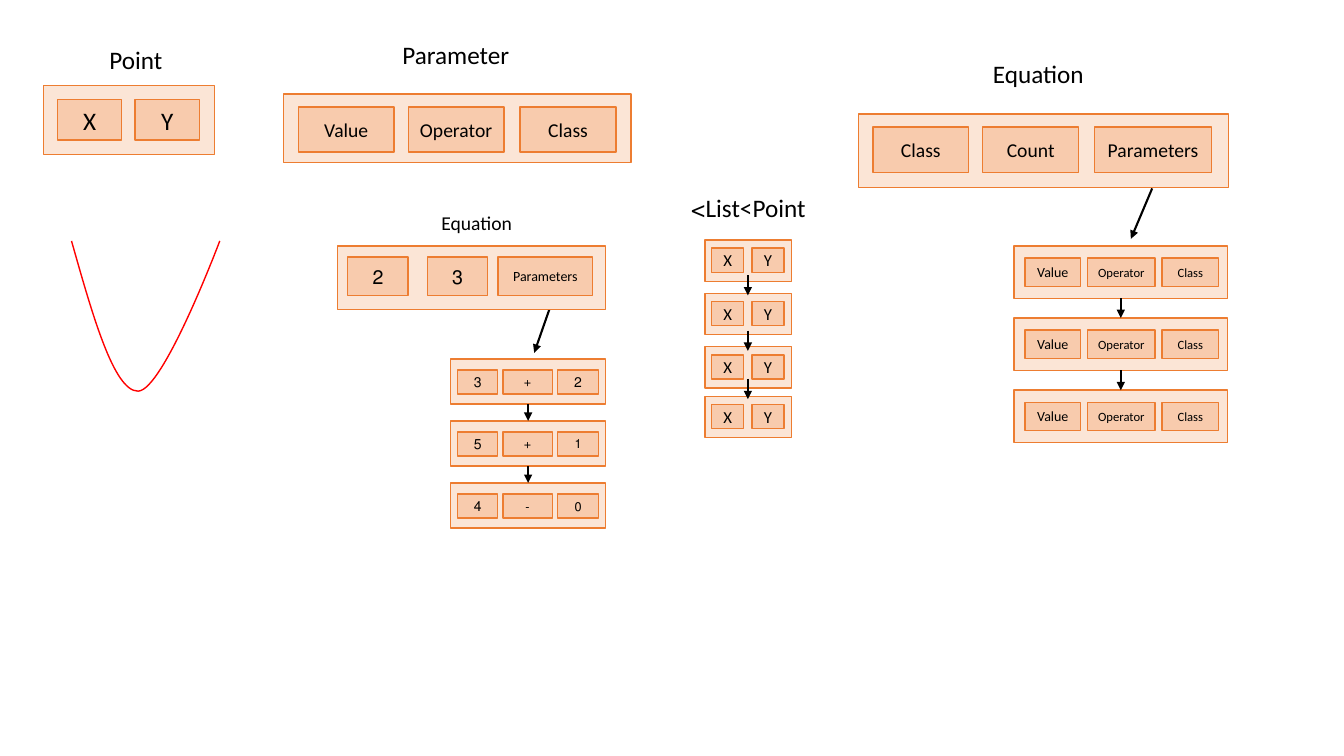
from itertools import pairwise

from lxml import etree
from pptx import Presentation
from pptx import util as u
from pptx.dml.color import RGBColor
from pptx.enum import shapes as kinds, text
from pptx.oxml.ns import qn

BLACK = RGBColor(0x00, 0x00, 0x00)
RED = RGBColor(0xFF, 0x00, 0x00)
ORANGE = RGBColor(0xED, 0x7D, 0x31)
PALE = RGBColor(0xFB, 0xE5, 0xD6)
PEACH = RGBColor(0xF8, 0xCB, 0xAD)
FONT = "Calibri"


def points(*lengths):
    """Convert numbers to point lengths."""
    return [u.Pt(length) for length in lengths]


def write(frame, words, *, size, align=text.PP_ALIGN.CENTER, color=BLACK):
    """Write one right-to-left paragraph into a text frame."""
    line = frame.paragraphs[0]
    line.alignment = align
    line._p.get_or_add_pPr().set("rtl", "1")
    run = line.add_run()
    run.text = words
    run.font.name = FONT
    run.font.size = u.Pt(size)
    run.font.color.rgb = color


def heading(parts, words, left, top, width, height=28.8, size=18):
    """Add a right-aligned structure name."""
    frame = parts.add_textbox(*points(left, top, width, height)).text_frame
    frame.word_wrap = True
    frame.auto_size = text.MSO_AUTO_SIZE.SHAPE_TO_FIT_TEXT
    write(frame, words, size=size, align=text.PP_ALIGN.RIGHT)


def box(parts, left, top, width, height, fill):
    """Add an orange-edged rectangle."""
    rectangle = parts.add_shape(kinds.MSO_SHAPE.RECTANGLE, *points(left, top, width, height))
    rectangle.shadow.inherit = False
    rectangle.fill.solid()
    rectangle.fill.fore_color.rgb = fill
    rectangle.line.color.rgb = ORANGE
    rectangle.line.width = u.Pt(1)
    return rectangle


def record(parts, outline, fields, inset, height):
    """Add a record whose fields are (words, offset, width, size)."""
    left, top = outline[:2]
    holder = box(parts, *outline, PALE)
    for words, offset, width, size in fields:
        frame = box(parts, left + offset, top + inset, width, height, PEACH).text_frame
        frame.margin_left = frame.margin_right = 0
        frame.margin_top = frame.margin_bottom = 0
        frame.vertical_anchor = text.MSO_ANCHOR.MIDDLE
        frame.word_wrap = True
        write(frame, words, size=size)
    return holder


def arrow(parts, x1, y1, x2, y2, weight=1.5):
    """Add a black arrow."""
    link = parts.add_connector(kinds.MSO_CONNECTOR.STRAIGHT, *points(x1, y1, x2, y2))
    link.line.color.rgb = BLACK
    link.line.width = u.Pt(weight)
    etree.SubElement(link.line._get_or_add_ln(), qn("a:tailEnd"), type="triangle")
    etree.SubElement(link._element.spPr, qn("a:effectLst"))
    return link


def chain(parts, outline, step, rows, inset, height):
    """Stack records at equal steps and join each to the next."""
    left, top, width, depth = outline
    nodes = [record(parts, (left, top + i * step, width, depth), fields, inset, height)
             for i, fields in enumerate(rows)]
    for upper, lower in pairwise(nodes):
        link = arrow(parts, 0, 0, 0, 0)
        link.begin_connect(upper, 2)
        link.end_connect(lower, 0)


def parabola(parts, start, *controls):
    """Draw a red curve through Bezier control points, three per segment."""
    builder = parts.build_freeform(*points(*start))
    builder.add_line_segments([points(*control) for control in controls], close=False)
    curve = builder.convert_to_shape()
    curve.shadow.inherit = False
    curve.fill.background()
    curve.line.color.rgb = RED
    curve.line.width = u.Pt(1)
    steps = list(curve._element.iter(qn("a:lnTo")))
    for i in range(0, len(steps), 3):
        bezier = etree.SubElement(steps[i].getparent(), qn("a:cubicBezTo"))
        for step in steps[i:i + 3]:
            bezier.append(step[0])
            step.getparent().remove(step)


def point_class(parts):
    """Draw the Point structure."""
    heading(parts, "Point", 60.5, 28.1, 62.6)
    record(parts, (31, 61.2, 122.4, 49), [("X", 10, 46, 18), ("Y", 65.5, 46, 18)], 10.1, 28.8)


def parameter_class(parts):
    """Draw the Parameter structure."""
    fields = [("Value", 10.8, 68.4, 14), ("Operator", 89.3, 68.4, 14), ("Class", 169.2, 68.4, 14)]
    record(parts, (202.3, 67, 248.4, 49), fields, 9.3, 32.4)
    heading(parts, "Parameter", 275.8, 24.5, 95)


def equation_class(parts):
    """Draw the Equation structure with its parameter chain."""
    arrow(parts, 823, 134.6, 807.8, 170.6)
    fields = [("Class", 10.1, 68.4, 14), ("Count", 88.6, 68.4, 14), ("Parameters", 168.5, 83.5, 14)]
    record(parts, (613.4, 81.4, 264.2, 52.6), fields, 9.3, 32.4)
    heading(parts, "Equation", 686.2, 38.2, 95)
    parameter = [("Value", 7.9, 39.6, 10), ("Operator", 52.6, 48.2, 9), ("Class", 105.8, 40.3, 9)]
    chain(parts, (724.3, 175.7, 152.6, 37.4), 51.5, [parameter] * 3, 8.6, 20.2)


def point_list(parts):
    """Draw the list of points."""
    for top in (171.4, 209.5, 247.7, 283):
        record(parts, (503.6, top, 61.9, 29.5), [("X", 4.7, 23, 12), ("Y", 33.5, 23, 12)], 5.8, 17.3)
    for top in (196.6, 236.2, 270.7):
        arrow(parts, 534.2, top, 534.2, top + 14.4, weight=1)
    heading(parts, "List<Point>", 472.3, 133.9, 110.2)


def equation_example(parts):
    """Draw a sample equation with its parameter values."""
    arrow(parts, 392.4, 221, 381.6, 252)
    fields = [("2", 7.2, 43.2, 14), ("3", 64.1, 43.2, 14), ("Parameters", 114.5, 67.7, 10)]
    record(parts, (241.2, 175.7, 191.5, 45.4), fields, 7.9, 27.4)
    heading(parts, "Equation", 289.4, 146.9, 83.5, 24.5, size=14)
    values = [("3", "+", "2", 10), ("5", "+", "1", 9), ("4", "-", "0", 9)]
    rows = [[(value, 5, 28.8, 10), (operator, 37.4, 35.3, 9), (degree, 76.3, 29.5, size)]
            for value, operator, degree, size in values]
    chain(parts, (321.8, 256.3, 110.9, 32.4), 44.3, rows, 7.9, 17.3)


def main():
    """Build and save the slide."""
    deck = Presentation()
    deck.slide_width, deck.slide_height = points(960, 540)
    slide = deck.slides.add_slide(deck.slide_layouts[6])
    for draw in (point_class, parameter_class, equation_class, point_list, equation_example):
        draw(slide.shapes.add_group_shape().shapes)
    parabola(slide.shapes, (51.1, 172.1),
             (66.2, 225.4), (81.4, 279.4), (98.6, 279.4),
             (116.6, 279.4), (157, 172.1), (157, 172.1))
    deck.save("out.pptx")


if __name__ == "__main__":
    main()
